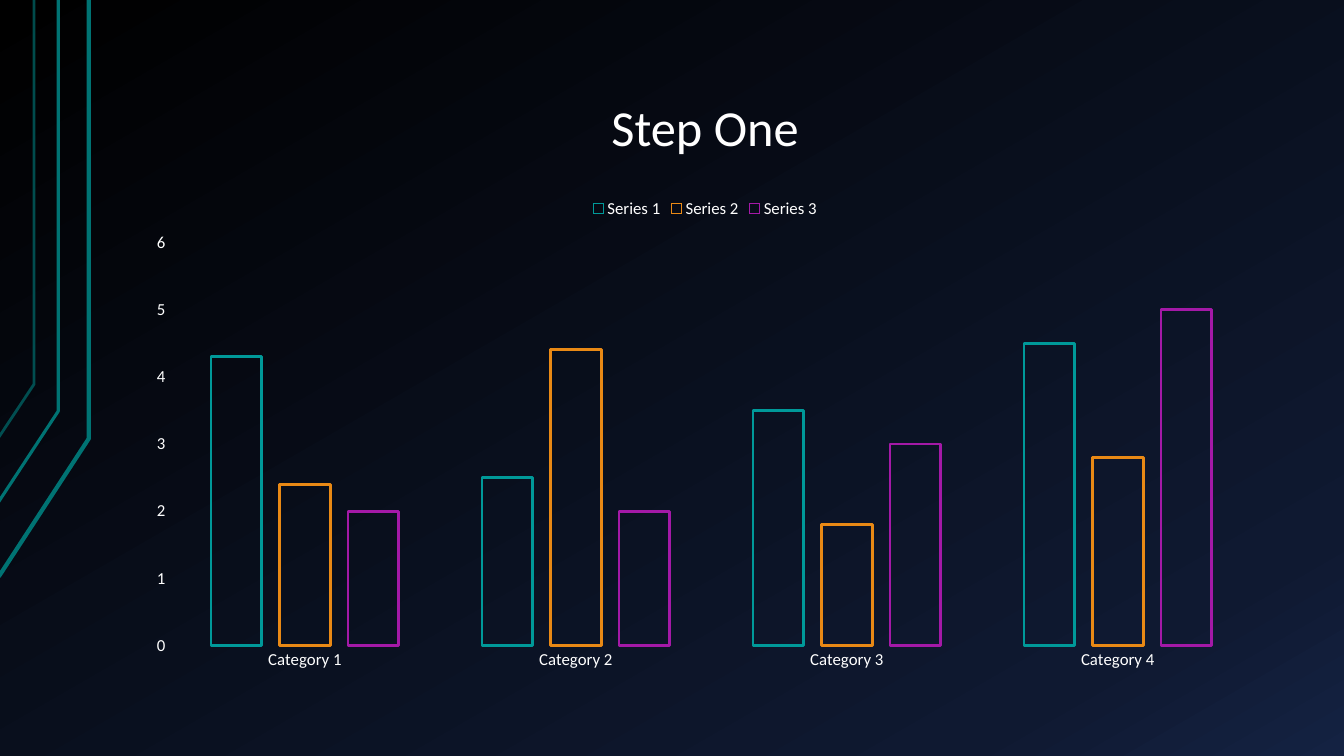
from lxml import etree
from pptx import Presentation, util as u
from pptx.chart.data import CategoryChartData
from pptx.dml.color import RGBColor
from pptx.enum import chart as c, text as t
from pptx.oxml.ns import qn

TITLE = "Step One"
CATEGORIES = ["Category 1", "Category 2", "Category 3", "Category 4"]
SERIES = [  # name, values, outline colour
    ("Series 1", (4.3, 2.5, 3.5, 4.5), "009999"),
    ("Series 2", (2.4, 4.4, 1.8, 2.8), "E98915"),
    ("Series 3", (2, 2, 3, 5), "A419A7"),
]
BACKGROUND_STOPS = [(0, "000000"), (85, "0F1931"), (100, "142242")]
BACKGROUND_ANGLE = 60
CIRCUITS = [  # points in cm, line width, opacity in percent
    ([(-0.03, 14.53), (2.24, 11.05), (2.24, 0)], 3, 100),
    ([(-0.05, 12.67), (1.47, 10.36), (1.47, 0)], 2.25, 100),
    ([(-0.03, 11.02), (0.86, 9.68), (0.86, 0)], 2, 65),
]
CIRCUIT_COLOR = "007373"
FONT, WHITE = "Calibri", "FFFFFF"
LEFT, WIDTH = u.Cm(3.38), u.Cm(28.78)


def color(value):
    """Turn a hex string into a colour."""
    return RGBColor.from_string(value)


def format_font(font, size):
    """Set the white slide font at a size in points."""
    font.name, font.size = FONT, u.Pt(size)
    font.color.rgb = color(WHITE)


def paint_background(page):
    """Fill the page with the angled gradient."""
    page.background.fill.gradient()
    gradient = next(page.element.iter(qn("a:gradFill")))
    for child in list(gradient):
        gradient.remove(child)
    stops = etree.SubElement(gradient, qn("a:gsLst"))
    for position, value in BACKGROUND_STOPS:
        stop = etree.SubElement(stops, qn("a:gs"), pos=str(position * 1000))
        etree.SubElement(stop, qn("a:srgbClr"), val=value)
    etree.SubElement(gradient, qn("a:lin"), ang=str(BACKGROUND_ANGLE * 60000), scaled="0")


def add_circuit(page, points, width, opacity):
    """Draw one open, bent line."""
    start, *rest = [(u.Cm(x), u.Cm(y)) for x, y in points]
    builder = page.shapes.build_freeform(*start)
    builder.add_line_segments(rest, close=False)
    shape = builder.convert_to_shape()
    shape.shadow.inherit = False
    shape.fill.background()
    shape.line.width = u.Pt(width)
    shape.line.color.rgb = color(CIRCUIT_COLOR)
    if opacity < 100:
        tint = next(shape.line._get_or_add_ln().iter(qn("a:srgbClr")))
        etree.SubElement(tint, qn("a:alpha"), val=str(opacity * 1000))


def add_text(page, words, top, height, size):
    """Add a centred line of text at the bottom of its box."""
    box = page.shapes.add_textbox(LEFT, top, WIDTH, height)
    frame = box.text_frame
    frame.word_wrap = True
    frame.vertical_anchor = t.MSO_ANCHOR.BOTTOM
    frame.margin_left = frame.margin_right = u.Cm(0.33)
    frame.margin_top = frame.margin_bottom = u.Cm(0.18)
    para = frame.paragraphs[0]
    para.alignment, para.line_spacing = t.PP_ALIGN.CENTER, 0.9
    span = para.add_run()
    span.text = words
    format_font(span.font, size)


def add_columns(page, top, height):
    """Add the column chart with outlined bars."""
    data = CategoryChartData()
    data.categories = CATEGORIES
    for name, values, _ in SERIES:
        data.add_series(name, values)
    chart = page.shapes.add_chart(
        c.XL_CHART_TYPE.COLUMN_CLUSTERED, LEFT, top, WIDTH, height, data).chart
    format_font(chart.font, 10)
    chart.has_title = False
    chart.has_legend = True
    chart.legend.position = c.XL_LEGEND_POSITION.TOP
    chart.legend.include_in_layout = False
    format_font(chart.legend.font, 12)

    for axis in (chart.category_axis, chart.value_axis):
        axis.has_major_gridlines = False
        axis.major_tick_mark = axis.minor_tick_mark = c.XL_TICK_MARK.NONE
        axis.format.line.fill.background()
        format_font(axis.tick_labels.font, 12)
    scale = chart.value_axis
    scale.minimum_scale, scale.maximum_scale, scale.major_unit = 0, 6, 1

    plot = chart.plots[0]
    plot.gap_width, plot.overlap, plot.vary_by_categories = 164, -35, False
    for series, (_, _, outline) in zip(plot.series, SERIES):
        series.format.fill.background()
        series.format.line.width = u.Pt(2)
        series.format.line.color.rgb = color(outline)


deck = Presentation()
deck.slide_width, deck.slide_height = u.Cm(33.87), u.Cm(19.05)
page = deck.slides.add_slide(deck.slide_layouts[6])
paint_background(page)
for circuit in CIRCUITS:
    add_circuit(page, *circuit)
add_text(page, TITLE, u.Cm(0.76), u.Cm(3.4), size=36)
add_columns(page, u.Cm(4.72), u.Cm(12.4))
deck.save("out.pptx")
